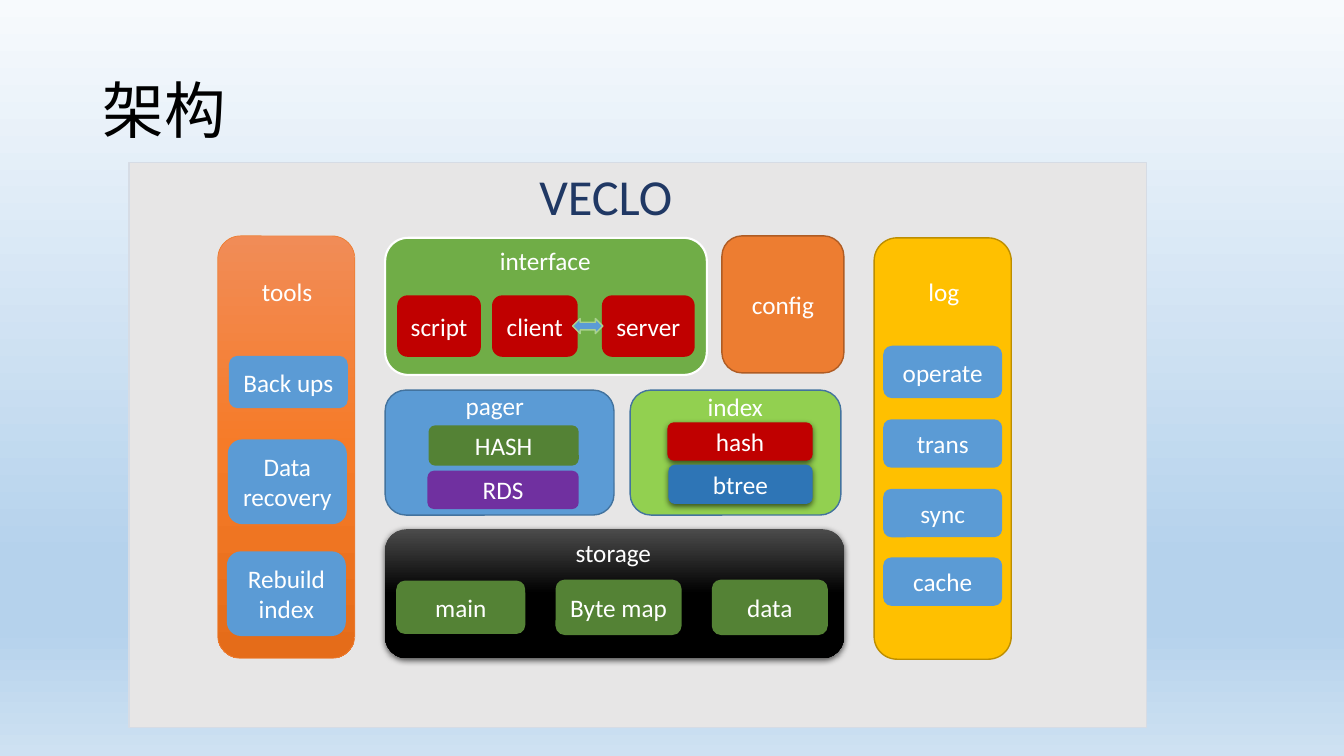
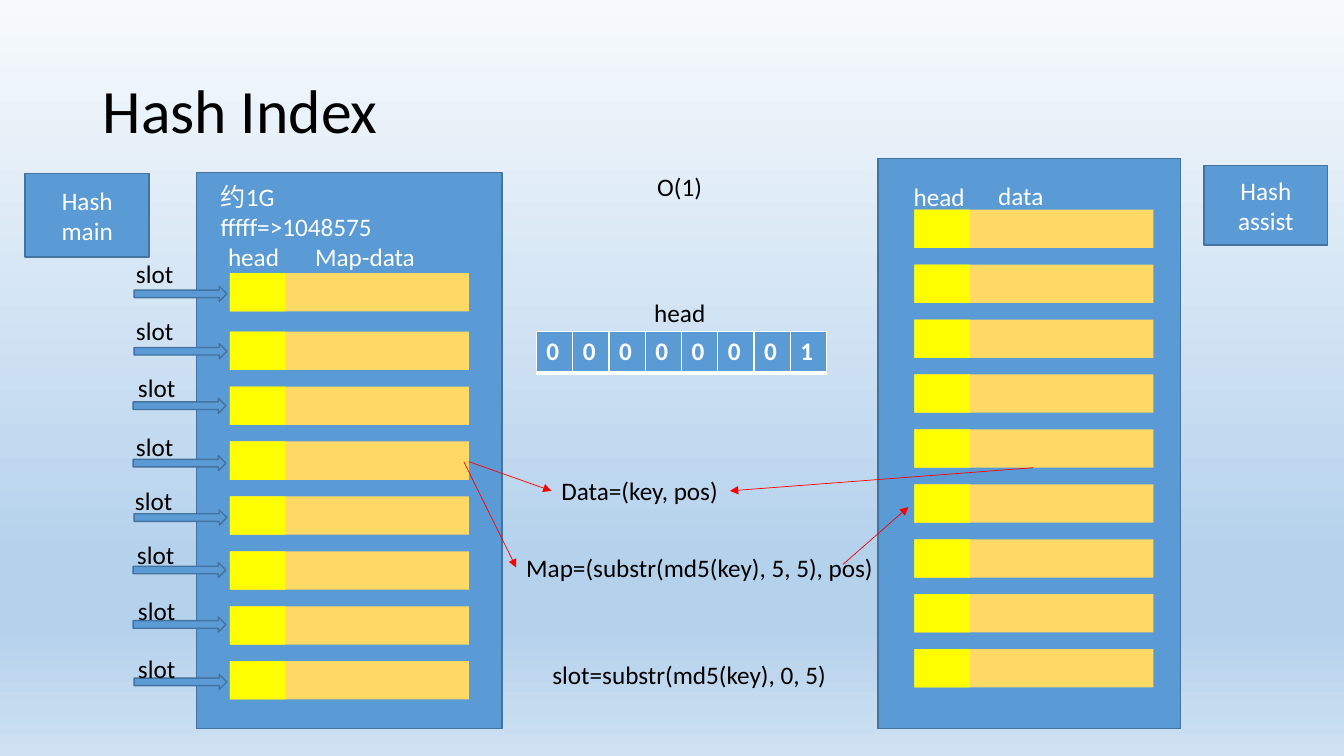
"""Build two slides: a storage engine's architecture and its hash index."""
from lxml.etree import SubElement as sub
from pptx import Presentation
from pptx.dml.color import RGBColor
from pptx.enum.shapes import MSO_CONNECTOR as CON, MSO_SHAPE as SH
from pptx.enum.text import MSO_ANCHOR as ANC, MSO_AUTO_SIZE as FIT, PP_ALIGN as AL
from pptx.oxml.ns import qn
from pptx.util import Inches, Pt

rgb = RGBColor.from_string
BLUE, EDGE, WHITE, BLACK = "5B9BD5", "43739E", "FFFFFF", "000000"
RED, GREEN, GOLD, YELLOW = "C00000", "548235", "FFD966", "FFFF00"
SKY = [(0, "F7FAFD"), (74, "B5D2EC"), (83, "B5D2EC"), (100, "CEE1F2")]
ROUND = SH.ROUNDED_RECTANGLE


def blend(fill, host, stops):
    fill.gradient()
    fill.gradient_angle = 270
    ramp = host.find(".//" + qn("a:gsLst"))
    ramp.clear()
    for pos, tint in stops:
        stop = sub(ramp, qn("a:gs"), pos=str(pos * 1000))
        sub(stop, qn("a:srgbClr"), val=tint)


def box(shapes, kind, at, text="", fill=None, line=None, wide=1, ink=WHITE,
        size=18, wrap=True, align=AL.CENTER, anchor=ANC.MIDDLE, shade=False):
    spot = [Inches(n) for n in at]
    if kind is None:
        item = shapes.add_textbox(*spot)
    else:
        item = shapes.add_shape(kind, *spot)
        item.shadow.inherit = False
        if isinstance(fill, list):
            blend(item.fill, item._element.spPr, fill)
        else:
            item.fill.solid()
            item.fill.fore_color.rgb = rgb(fill)
        if line:
            item.line.color.rgb = rgb(line)
            item.line.width = Pt(wide)
        else:
            item.line.fill.background()
    if shade:
        glow = sub(item._element.spPr.find(qn("a:effectLst")), qn("a:outerShdw"),
                   blurRad="57150", dist="19050", dir="5400000", algn="ctr", rotWithShape="0")
        dark = sub(glow, qn("a:srgbClr"), val=BLACK)
        sub(dark, qn("a:alpha"), val="63000")
    if text:
        frame = item.text_frame
        look = dict(word_wrap=wrap, vertical_anchor=anchor,
                    auto_size=FIT.NONE if wrap else FIT.SHAPE_TO_FIT_TEXT)
        for key, val in look.items():
            setattr(frame, key, val)
        para = frame.paragraphs[0]
        para.alignment = align
        run = para.add_run()
        run.text = text
        for key, val in dict(name="Calibri", size=Pt(size)).items():
            setattr(run.font, key, val)
        run.font.color.rgb = rgb(ink)
    return item


deck = Presentation()
deck.slide_width, deck.slide_height = Inches(13.33), Inches(7.5)
master = deck.slide_master
blend(master.background.fill, master._element.cSld, SKY)
plain = dict(wrap=False, align=AL.LEFT, anchor=ANC.TOP)
head = dict(size=44, ink=BLACK, align=AL.LEFT)
arch, index = [deck.slides.add_slide(deck.slide_layouts[6]).shapes for _ in range(2)]

box(arch, SH.RECTANGLE, (1.28, 1.61, 10.09, 5.61), fill="E7E6E6", line="D6DCE5")
panels = [
    ((2.16, 2.34, 1.36, 4.19), [(0, "F18C57"), (50, "F67B28"), (100, "E56C19")], "ED7D31", 0.5),
    ((3.82, 2.36, 3.19, 1.36), "70AD47", WHITE, 1.5),
    ((3.82, 3.87, 2.27, 1.24), BLUE, EDGE, 1),
    ((6.25, 3.87, 2.09, 1.24), "92D050", EDGE, 1),
    ((3.82, 5.25, 4.55, 1.28), [(0, "4B4B4B"), (50, BLACK), (100, BLACK)], None, 1),
    ((8.67, 2.36, 1.36, 4.18), "FFC000", "BD8E00", 1),
]
for at, fill, line, wide in panels:
    box(arch, ROUND, at, fill=fill, line=line, wide=wide, shade=line is None)

tiles = [
    ("operate", (8.76, 3.43, 1.18, 0.52), BLUE),
    ("trans", (8.76, 4.16, 1.18, 0.48), BLUE),
    ("sync", (8.76, 4.85, 1.18, 0.48), BLUE),
    ("cache", (8.76, 5.53, 1.18, 0.48), BLUE),
    ("hash", (6.62, 4.19, 1.44, 0.38), RED),
    ("btree", (6.63, 4.61, 1.43, 0.39), "2E75B6"),
    ("HASH", (4.25, 4.22, 1.49, 0.4), GREEN),
    ("RDS", (4.24, 4.67, 1.5, 0.38), "7030A0"),
    ("Back ups", (2.27, 3.53, 1.18, 0.52), BLUE),
    ("Data recovery", (2.26, 4.36, 1.18, 0.84), BLUE),
    ("Rebuild index", (2.25, 5.47, 1.18, 0.84), BLUE),
    ("main", (3.93, 5.76, 1.28, 0.53), GREEN),
    ("Byte map", (5.51, 5.75, 1.25, 0.55), GREEN),
    ("data", (7.06, 5.75, 1.15, 0.55), GREEN),
    ("script", (3.94, 2.93, 0.83, 0.61), RED),
    ("client", (4.88, 2.93, 0.85, 0.61), RED),
    ("server", (5.97, 2.93, 0.92, 0.61), RED),
]
for text, at, fill in tiles:
    box(arch, ROUND, at, text, fill, shade=text in ("hash", "btree"))
box(arch, ROUND, (7.16, 2.34, 1.21, 1.36), "config", "ED7D31", "AF5C24")
box(arch, SH.LEFT_RIGHT_ARROW, (5.68, 3.16, 0.3, 0.15), fill=BLUE, line="A9D18E")

names = [
    ("pager", 4.52, 3.82, 0.79), ("index", 6.92, 3.83, 0.76), ("storage", 5.61, 5.28, 0.96),
    ("interface", 4.86, 2.38, 1.11), ("tools", 2.5, 2.69, 0.71), ("log", 9.11, 2.69, 0.51),
]
for text, x, y, w in names:
    box(arch, None, (x, y, w, 0.4), text, **plain)
box(arch, None, (5.25, 1.59, 1.69, 0.71), "VECLO", ink="203864", size=36, **plain)

for at in ((1.95, 1.71, 3.03, 5.52), (8.71, 1.57, 3, 5.66)):
    box(index, ROUND, at, fill=BLUE, line=EDGE).adjustments[0] = 0
for text, at in (("Hash main", (0.25, 1.72, 1.23, 0.83)), ("Hash assist", (11.94, 1.64, 1.23, 0.79))):
    box(index, SH.RECTANGLE, at, text, BLUE, EDGE)

STEP = 0.545
rows = [(2.28, 2.71)] + [(2.28, 3.29 + STEP * n) for n in range(7)]
rows += [(9.07, 2.08 + STEP * n) for n in range(9)]
for x, y in rows:
    pair = index.add_group_shape().shapes
    for w, fill in ((2.37, GOLD), (0.55, YELLOW)):
        box(pair, SH.RECTANGLE, (x, y, w, 0.38), fill=fill)

for text, x, y, w in (("head", 2.13, 2.35, 0.77), ("Map-data", 2.94, 2.35, 1.36),
                      ("head", 8.93, 1.76, 0.77), ("data", 9.74, 1.75, 0.77)):
    box(index, None, (x, y, w, 0.38), text)
box(index, None, (2.09, 1.75, 2.2, 0.7), "约1G fffff=>1048575", align=AL.LEFT, anchor=ANC.TOP)

slots = [(1.25, 2.51, 1.33, 2.84), (1.25, 3.08, 1.33, 3.41), (1.27, 3.64, 1.32, 3.95),
         (1.25, 4.23, 1.32, 4.52), (1.24, 4.77, 1.33, 5.06), (1.26, 5.3, 1.32, 5.58),
         (1.27, 5.86, 1.32, 6.12), (1.27, 6.43, 1.33, 6.69)]
for x, y, left, top in slots:
    box(index, SH.RIGHT_ARROW, (left, top, 0.92, 0.15), fill=BLUE, line=EDGE)
    box(index, None, (x, y, 0.58, 0.4), "slot", ink=BLACK, **plain)

notes = [
    ("O(1)", 6.42, 1.65, 0.65), ("head", 6.39, 2.9, 0.72),
    ("Data=(key, pos)", 5.47, 4.67, 1.77),
    ("Map=(substr(md5(key), 5, 5), pos)", 5.12, 5.43, 3.68),
    ("slot=substr(md5(key), 0, 5)", 5.38, 6.49, 2.95),
]
for text, x, y, w in notes:
    box(index, None, (x, y, w, 0.4), text, ink=BLACK, **plain)

bits = "00000001"
grid = index.add_table(1, len(bits), Inches(5.32), Inches(3.29), Inches(2.86), Inches(0.41)).table
grid.horz_banding = False
for n, bit in enumerate(bits):
    grid.columns[n].width = Inches(0.36)
    cell = grid.cell(0, n)
    cell.text = bit
    props = cell._tc.get_or_add_tcPr()
    for side, wide in dict(L=1, R=1, T=1, B=3).items():
        rule = sub(props, qn("a:ln" + side), w=str(Pt(wide)))
        sub(sub(rule, qn("a:solidFill")), qn("a:srgbClr"), val=WHITE)
    cell.fill.solid()
    cell.fill.fore_color.rgb = rgb(BLUE)
    font = cell.text_frame.paragraphs[0].runs[0].font
    for key, val in dict(name="Calibri", size=Pt(18), bold=True).items():
        setattr(font, key, val)
    font.color.rgb = rgb(WHITE)

links = [(8.36, 5.6, 9.01, 5.03), (4.65, 4.58, 5.47, 4.87),
         (10.25, 4.64, 7.24, 4.87), (4.6, 4.58, 5.12, 5.63)]
for ends in links:
    link = index.add_connector(CON.STRAIGHT, *[Inches(n) for n in ends])
    link.line.color.rgb = rgb("FF0000")
    link.line.width = Pt(0.5)
    sub(link.line._get_or_add_ln(), qn("a:tailEnd"), type="triangle")
    sub(link._element.spPr, qn("a:effectLst"))

for page, text in ((arch, "架构"), (index, "Hash Index")):
    title = box(page, None, (0.92, 0.4, 11.5, 1.45), text, **head)
    title.text_frame.paragraphs[0].line_spacing = 0.9

deck.save("out.pptx")
